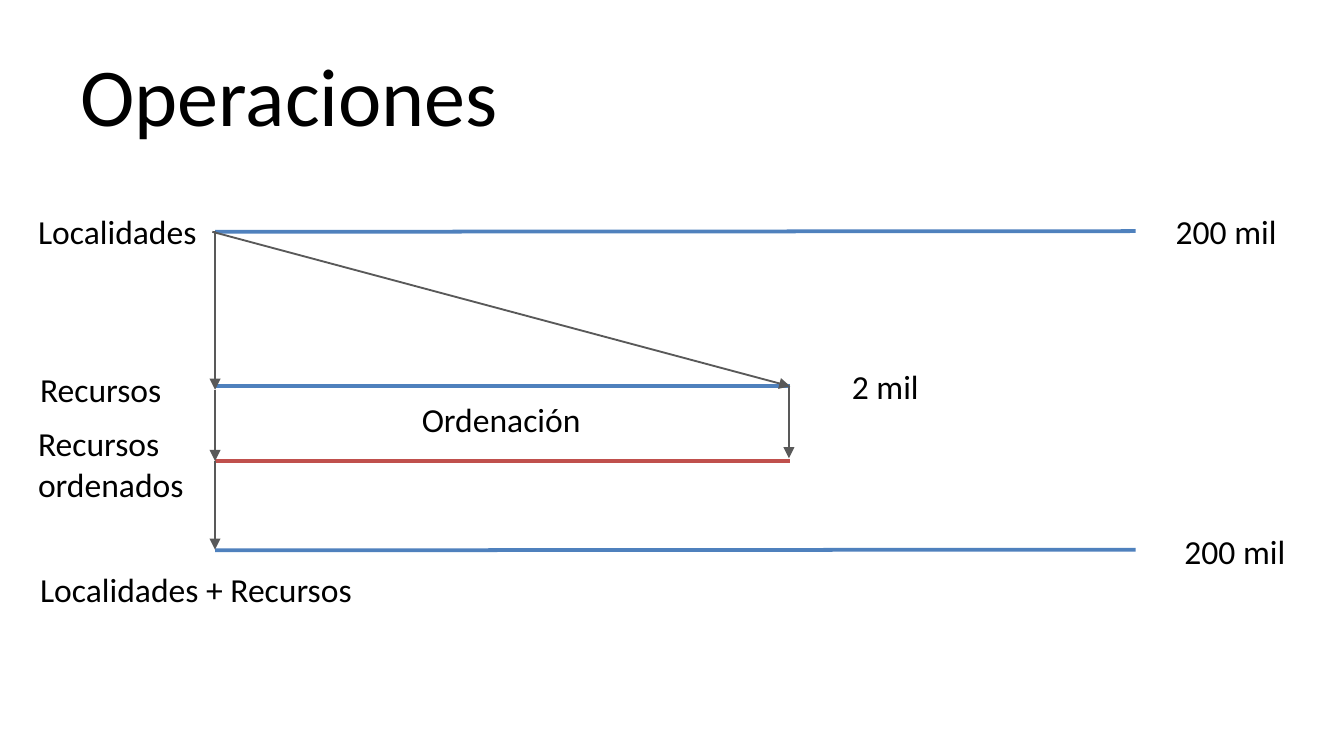
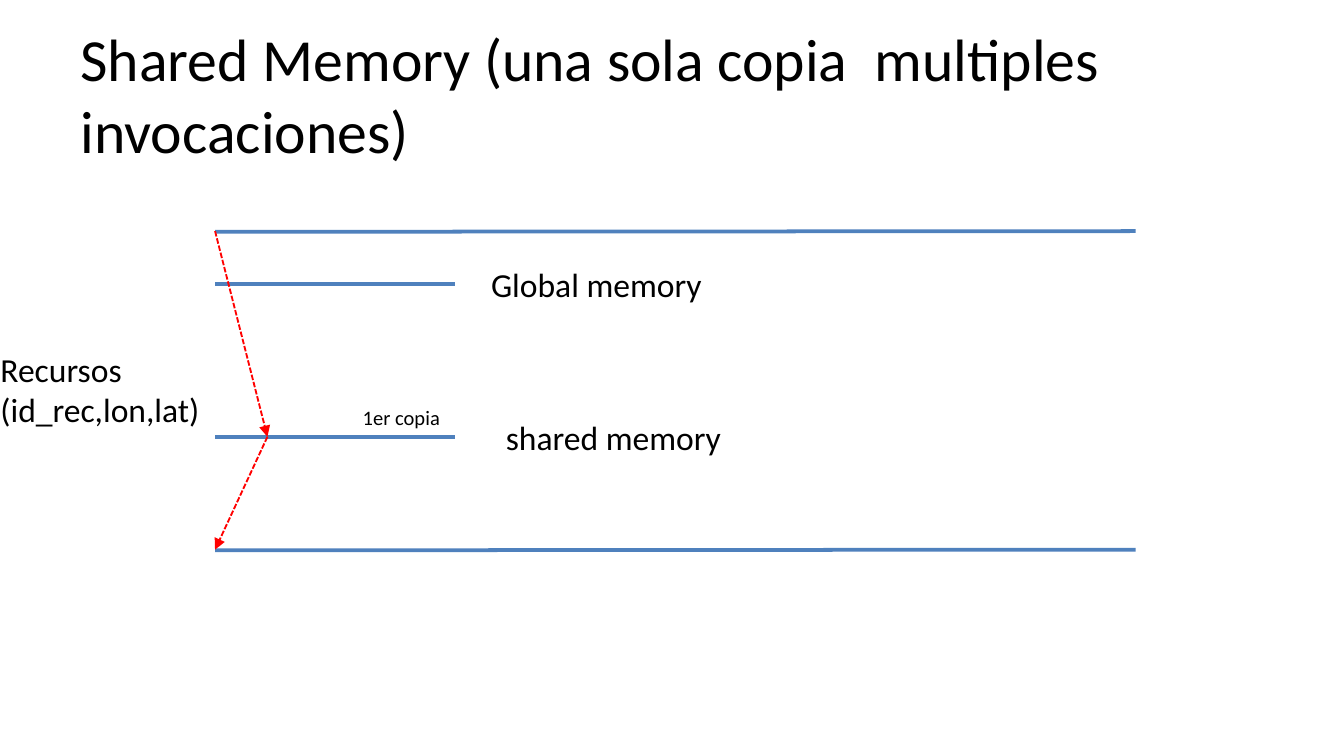
from dataclasses import dataclass

from lxml.etree import SubElement
from pptx import Presentation
from pptx.dml.color import RGBColor
from pptx.enum.dml import MSO_LINE
from pptx.enum.shapes import MSO_CONNECTOR
from pptx.enum.text import MSO_ANCHOR, MSO_AUTO_SIZE
from pptx.oxml.ns import qn
from pptx.slide import Slide
from pptx.util import Emu, Pt

SCALE = 4572  # EMU in one px, 200 px to the inch
WIDTH, HEIGHT = 2000, 1125
FONT = "Calibri"
COLORS = {
    "text": "000000",
    "data": "4F81BD",
    "sorted": "C0504D",
    "flow": "595959",
    "copy": "FF0000",
}

LEFT, RIGHT = 320, 1690  # ends of the long bars
MID = 1176  # end of the resource bars
TOP, BASE = 344, 818  # long bars
FULL, SORTED = 575, 686  # resource bars
JOIN = 580  # where the left arrows meet
BLOCK = 677  # end of the memory bars
GLOBAL, SHARED = 423, 650  # memory bars
HIT = 398  # where the copy is read


def px(n: int) -> Emu:
    return Emu(n * SCALE)


def color(name: str) -> RGBColor:
    return RGBColor.from_string(COLORS[name])


@dataclass(frozen=True)
class Label:
    text: str
    x: int
    y: int
    w: int
    h: int = 80
    size: int = 18


@dataclass(frozen=True)
class Bar:
    x1: int
    y1: int
    x2: int
    y2: int
    tint: str = "data"


@dataclass(frozen=True)
class Arrow:
    x1: int
    y1: int
    x2: int
    y2: int
    tint: str = "flow"
    dashed: bool = False


@dataclass(frozen=True)
class Page:
    title: str
    size: int
    bars: tuple[Bar, ...]
    arrows: tuple[Arrow, ...]
    labels: tuple[Label, ...]


RAILS = tuple(Bar(LEFT, y + 1, RIGHT, y) for y in (TOP, BASE))

PAGES = (
    Page(
        "Operaciones",
        44,
        RAILS + (
            Bar(LEFT, FULL, MID, FULL),
            Bar(LEFT, SORTED, MID, SORTED, "sorted"),
        ),
        (
            Arrow(LEFT, TOP, LEFT, JOIN),
            Arrow(316, TOP + 1, MID, FULL),
            Arrow(LEFT, JOIN, LEFT, SORTED),
            Arrow(LEFT, SORTED, LEFT, BASE),
            Arrow(1174, FULL, 1174, 682),
        ),
        (
            Label("Localidades", 37, 304, 280),
            Label("Recursos", 40, 539, 226),
            Label("Recursos\nordenados", 37, 620, 260, 142),
            Label("Localidades + Recursos", 40, 837, 512),
            Label("Ordenación", 608, 584, 280),
            Label("200 mil", 1730, 304, 192),
            Label("2 mil", 1248, 535, 140),
            Label("200 mil", 1743, 780, 192),
        ),
    ),
    Page(
        "Shared Memory (una sola copia  multiples invocaciones)",
        32,
        RAILS + tuple(Bar(LEFT, y, BLOCK, y) for y in (GLOBAL, SHARED)),
        (
            Arrow(LEFT, TOP, HIT, SHARED, "copy", True),
            Arrow(HIT, SHARED, LEFT, BASE, "copy", True),
        ),
        (
            Label("Recursos\n(id_rec,lon,lat)", -19, 509, 340, 142),
            Label("1er copia", 520, 593, 156, 58, 11),
            Label("Global memory", 711, 383, 358),
            Label("shared memory", 733, 610, 364),
        ),
    ),
)


def write(slide: Slide, label: Label, wrap: bool = False) -> None:
    """Add a label; a wrapped one keeps its box and centres text vertically."""
    box = slide.shapes.add_textbox(
        px(label.x), px(label.y), px(label.w), px(label.h))
    frame = box.text_frame
    frame.word_wrap = wrap
    if wrap:
        frame.auto_size = MSO_AUTO_SIZE.NONE
        frame.vertical_anchor = MSO_ANCHOR.MIDDLE
    else:
        frame.auto_size = MSO_AUTO_SIZE.SHAPE_TO_FIT_TEXT
    for i, line in enumerate(label.text.split("\n")):
        para = frame.add_paragraph() if i else frame.paragraphs[0]
        run = para.add_run()
        run.text = line
        run.font.name = FONT
        run.font.size = Pt(label.size)
        run.font.color.rgb = color("text")


def draw(slide: Slide, item: Bar | Arrow) -> None:
    line = slide.shapes.add_connector(
        MSO_CONNECTOR.STRAIGHT,
        px(item.x1), px(item.y1), px(item.x2), px(item.y2))
    line.line.color.rgb = color(item.tint)
    line.line.width = Pt(2)
    if isinstance(item, Arrow):
        line.line.width = Pt(1)
        if item.dashed:
            line.line.dash_style = MSO_LINE.SQUARE_DOT
        outline = line._element.spPr.find(qn("a:ln"))
        SubElement(outline, qn("a:tailEnd"), type="triangle")
    SubElement(line._element.spPr, qn("a:effectLst"))


def build(deck: Presentation, page: Page) -> None:
    slide = deck.slides.add_slide(deck.slide_layouts[6])
    write(slide, Label(page.title, 100, 45, 1800, 188, page.size), wrap=True)
    for item in page.bars + page.arrows:
        draw(slide, item)
    for label in page.labels:
        write(slide, label)


def main() -> None:
    deck = Presentation()
    deck.slide_width, deck.slide_height = px(WIDTH), px(HEIGHT)
    for page in PAGES:
        build(deck, page)
    deck.save("out.pptx")


if __name__ == "__main__":
    main()
